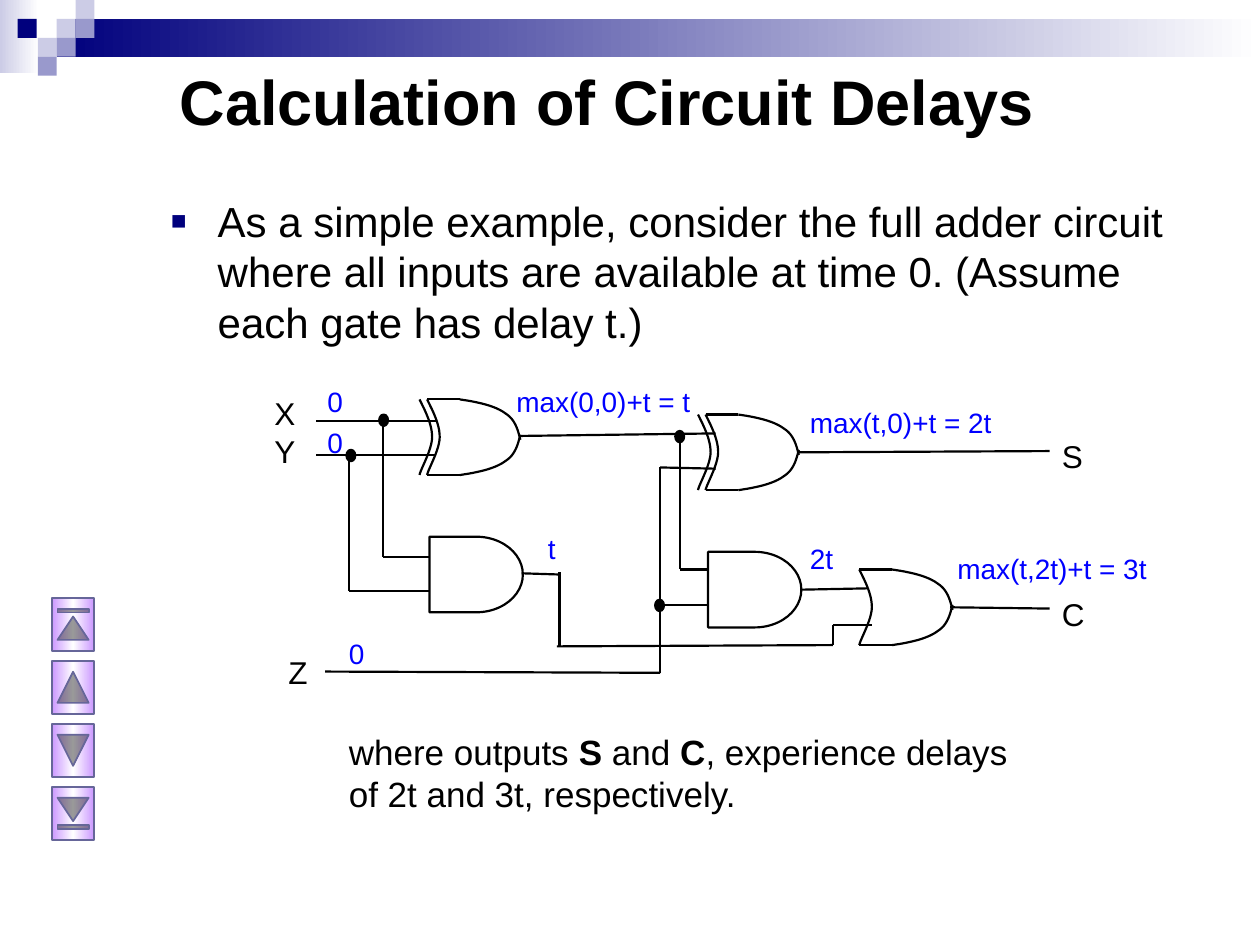
"""Build the slide on calculating delays through a full adder circuit."""
from copy import deepcopy
from dataclasses import dataclass

from lxml import etree
from pptx import Presentation
from pptx.dml.color import RGBColor
from pptx.enum.shapes import MSO_CONNECTOR, MSO_SHAPE
from pptx.enum.text import MSO_ANCHOR
from pptx.oxml.ns import qn
from pptx.util import Inches, Pt

RECTANGLE, ELLIPSE, AND_GATE = MSO_SHAPE.RECTANGLE, MSO_SHAPE.OVAL, MSO_SHAPE.FLOWCHART_DELAY
BUTTONS = (
    MSO_SHAPE.ACTION_BUTTON_BEGINNING,
    MSO_SHAPE.ACTION_BUTTON_BACK_OR_PREVIOUS,
    MSO_SHAPE.ACTION_BUTTON_FORWARD_OR_NEXT,
    MSO_SHAPE.ACTION_BUTTON_END,
)
STRAIGHT = MSO_CONNECTOR.STRAIGHT
TOP, MIDDLE = MSO_ANCHOR.TOP, MSO_ANCHOR.MIDDLE

BLACK = RGBColor(0x00, 0x00, 0x00)
WHITE = RGBColor(0xFF, 0xFF, 0xFF)
BLUE = RGBColor(0x00, 0x00, 0xFF)
NAVY = RGBColor(0x00, 0x00, 0x7D)
LAVENDER = RGBColor(0xCC, 0xCC, 0xE6)
PERIWINKLE = RGBColor(0x99, 0x99, 0xCC)
VIOLET = RGBColor(0xCC, 0x99, 0xFF)
SLATE = RGBColor(0x66, 0x66, 0x99)

FONT = "Arial"
GATE_HEIGHT = 0.6
CURVE_STEPS = 12


@dataclass
class Label:
    text: str
    left: float
    top: float
    width: float
    height: float = 0.38
    size: int = 16
    color: RGBColor = BLUE
    bold: bool = False
    anchor: MSO_ANCHOR = TOP


@dataclass
class Wire:
    x1: float
    y1: float
    x2: float
    y2: float


@dataclass
class CurvedGate:
    left: float
    top: float
    exclusive: bool


@dataclass
class Tile:
    left: float
    top: float
    color: RGBColor


TILES = [
    Tile(0.45, 0.15, LAVENDER), Tile(0.6, 0, LAVENDER), Tile(0.6, 0.15, PERIWINKLE),
    Tile(0.3, 0.3, LAVENDER), Tile(0.14, 0.15, NAVY), Tile(0.45, 0.3, PERIWINKLE),
    Tile(0.3, 0.45, PERIWINKLE),
]
TITLE = Label("Calculation of Circuit Delays", 1.33, 0.17, 8.5, 1.25, 36, BLACK, True, MIDDLE)
BODY = Label(
    "As a simple example, consider the full adder circuit where all inputs are available "
    "at time 0. (Assume each gate has delay t.)", 1.25, 1.5, 8.5, 1.42, 24, BLACK)
CONCLUSION = Label("", 2.67, 5.75, 5.67, 0.92, 20, BLACK)
CONCLUSION_RUNS = [
    ("where outputs ", False), ("S", True), (" and ", False), ("C", True),
    (", experience delays of 2t and 3t, respectively.", False),
]
LABELS = [
    Label("X\nY", 2.08, 3.08, 0.42, 0.6, 18, BLACK),
    Label("Z", 2.19, 5.13, 0.42, size=18, color=BLACK),
    Label("S", 8.33, 3.42, 0.42, size=18, color=BLACK),
    Label("C", 8.33, 4.67, 0.42, size=18, color=BLACK),
    Label("0", 2.5, 3, 0.33), Label("0", 2.5, 3.33, 0.33), Label("0", 2.67, 5, 0.33),
    Label("max(0,0)+t = t", 4, 3, 1.65), Label("t", 4.25, 4.17, 0.26),
    Label("max(t,0)+t = 2t", 6.33, 3.17, 1.75), Label("2t", 6.33, 4.25, 0.42),
    Label("max(t,2t)+t = 3t", 7.5, 4.33, 1.75),
]
WIRES = [
    Wire(2.51, 3.34, 3.46, 3.34), Wire(2.51, 3.61, 3.46, 3.61), Wire(4.13, 3.46, 5.68, 3.44),
    Wire(3.04, 4.42, 3.41, 4.42), Wire(3.04, 3.34, 3.04, 4.42), Wire(2.77, 3.61, 2.77, 4.69),
    Wire(2.77, 4.69, 3.41, 4.69), Wire(4.14, 4.55, 4.45, 4.56), Wire(5.24, 3.71, 5.68, 3.72),
    Wire(6.34, 3.59, 8.33, 3.58), Wire(5.4, 4.52, 5.61, 4.52), Wire(5.4, 3.44, 5.4, 4.52),
    Wire(5.24, 3.71, 5.24, 5.34), Wire(4.42, 5.13, 6.61, 5.12), Wire(6.36, 4.68, 6.88, 4.67),
    Wire(2.58, 5.33, 5.24, 5.34), Wire(5.24, 4.8, 5.63, 4.8), Wire(4.44, 5.13, 4.44, 4.54),
    Wire(6.61, 4.96, 6.92, 4.96), Wire(6.61, 5.12, 6.61, 4.96), Wire(7.54, 4.82, 8.33, 4.83),
]
JUNCTIONS = [(2.75, 3.57), (3.01, 3.29), (5.2, 4.76), (5.36, 3.42)]
AND_GATES = [(3.41, 4.26), (5.62, 4.38)]
CURVED_GATES = [
    CurvedGate(3.39, 3.17, True), CurvedGate(5.6, 3.29, True), CurvedGate(6.82, 4.52, False),
]
BACK_CURVE = [(0, 0), (0.05, 0.1), (0.1, 0.2), (0.1, 0.3), (0.1, 0.4), (0.01, 0.55), (0, 0.6)]
NOSE_CURVE = [
    (0.26, 0), (0.4, 0.02), (0.54, 0.05), (0.62, 0.11), (0.7, 0.16), (0.72, 0.24), (0.74, 0.32),
]


def add_box(slide, kind, left: float, top: float, width: float, height: float):
    """Add an unfilled, unlined preset shape without a shadow."""
    shape = slide.shapes.add_shape(kind, Inches(left), Inches(top), Inches(width), Inches(height))
    shape.shadow.inherit = False
    shape.fill.background()
    shape.line.fill.background()
    return shape


def set_line(shape, color: RGBColor = BLACK, width: float = 1.25) -> None:
    """Give a shape or connector a solid line."""
    shape.line.color.rgb = color
    shape.line.width = Pt(width)


def set_fill(shape, color: RGBColor) -> None:
    """Fill a shape with one colour."""
    shape.fill.solid()
    shape.fill.fore_color.rgb = color


def set_gradient(shape, colors: list[RGBColor], angle: int = 0) -> None:
    """Fill a shape with evenly spaced gradient colours."""
    shape.fill.gradient()
    shape.fill.gradient_angle = angle
    stop_list = shape.fill._fill._gradFill.find(qn("a:gsLst"))
    while len(stop_list) < len(colors):
        stop_list.append(deepcopy(stop_list[0]))
    for index, (stop, color) in enumerate(zip(shape.fill.gradient_stops, colors)):
        stop.color.rgb = color
        stop.position = index / (len(colors) - 1)


def add_label(slide, label: Label):
    """Add a wrapped text box and return its text frame."""
    box = slide.shapes.add_textbox(
        Inches(label.left), Inches(label.top), Inches(label.width), Inches(label.height))
    frame = box.text_frame
    frame.word_wrap = True
    frame.vertical_anchor = label.anchor
    frame.text = label.text
    for paragraph in frame.paragraphs:
        style_paragraph(paragraph, label)
    return frame


def style_paragraph(paragraph, label: Label) -> None:
    """Set the font of a paragraph from its label."""
    paragraph.font.name = FONT
    paragraph.font.size = Pt(label.size)
    paragraph.font.bold = label.bold
    paragraph.font.color.rgb = label.color


def add_body(slide) -> None:
    """Add the bulleted introduction."""
    paragraph = add_label(slide, BODY).paragraphs[0]
    properties = paragraph._p.get_or_add_pPr()
    properties.set("marL", str(Inches(0.38)))
    properties.set("indent", str(-Inches(0.38)))
    bullet_color = etree.Element(qn("a:buClr"))
    etree.SubElement(bullet_color, qn("a:srgbClr"), val=str(NAVY))
    bullet = [
        bullet_color,
        etree.Element(qn("a:buSzPct"), val="120000"),
        etree.Element(qn("a:buFont"), typeface=FONT),
        etree.Element(qn("a:buChar"), char="▪"),
    ]
    for position, element in enumerate(bullet):
        properties.insert(position, element)


def add_conclusion(slide) -> None:
    """Add the closing sentence with its bold output names."""
    paragraph = add_label(slide, CONCLUSION).paragraphs[0]
    for text, bold in CONCLUSION_RUNS:
        run = paragraph.add_run()
        run.text = text
        run.font.bold = bold


def add_wire(slide, wire: Wire) -> None:
    """Draw a straight wire."""
    connector = slide.shapes.add_connector(
        STRAIGHT, Inches(wire.x1), Inches(wire.y1), Inches(wire.x2), Inches(wire.y2))
    set_line(connector)
    etree.SubElement(connector._element.spPr, qn("a:effectLst"))


def bezier_point(controls: list[tuple[float, float]], t: float) -> tuple[float, float]:
    """Return the point at t on a cubic curve."""
    weights = ((1 - t) ** 3, 3 * t * (1 - t) ** 2, 3 * t * t * (1 - t), t ** 3)
    x, y = (sum(w * value for w, value in zip(weights, axis)) for axis in zip(*controls))
    return x, y


def add_curve(slide, controls: list[tuple[float, float]], left: float, top: float) -> None:
    """Draw an open chain of cubic curves."""
    points = [controls[0]]
    for start in range(0, len(controls) - 1, 3):
        segment = controls[start:start + 4]
        points += [bezier_point(segment, i / CURVE_STEPS) for i in range(1, CURVE_STEPS + 1)]
    places = [(Inches(left + x), Inches(top + y)) for x, y in points]
    builder = slide.shapes.build_freeform(*places[0])
    builder.add_line_segments(places[1:], close=False)
    curve = builder.convert_to_shape()
    curve.shadow.inherit = False
    curve.fill.background()
    set_line(curve)


def add_curved_gate(slide, gate: CurvedGate) -> None:
    """Draw an OR gate, or an XOR gate with its second back curve."""
    add_curve(slide, BACK_CURVE, gate.left, gate.top)
    if gate.exclusive:
        add_curve(slide, BACK_CURVE, gate.left - 0.06, gate.top)
    for y in (gate.top, gate.top + GATE_HEIGHT):
        add_wire(slide, Wire(gate.left, y, gate.left + 0.26, y))
    add_curve(slide, NOSE_CURVE, gate.left, gate.top)
    add_curve(slide, [(x, GATE_HEIGHT - y) for x, y in NOSE_CURVE], gate.left, gate.top)


def add_banner(slide) -> None:
    """Draw the gradient bands and tiles along the top."""
    set_gradient(add_box(slide, RECTANGLE, 0, 0, 0.31, 0.58), [LAVENDER, WHITE])
    set_gradient(add_box(slide, RECTANGLE, 0.45, 0.15, 9.55, 0.3), [NAVY, WHITE])
    for tile in TILES:
        set_fill(add_box(slide, RECTANGLE, tile.left, tile.top, 0.15, 0.15), tile.color)


def add_circuit(slide) -> None:
    """Draw the full adder with its labels."""
    for left, top in AND_GATES:
        set_line(add_box(slide, AND_GATE, left, top, 0.74, GATE_HEIGHT))
    for wire in WIRES:
        add_wire(slide, wire)
    for left, top in JUNCTIONS:
        junction = add_box(slide, ELLIPSE, left, top, 0.07, 0.09)
        set_fill(junction, BLACK)
        set_line(junction)
    for gate in CURVED_GATES:
        add_curved_gate(slide, gate)
    for label in LABELS:
        add_label(slide, label)


def add_buttons(slide) -> None:
    """Draw the column of navigation buttons."""
    for index, kind in enumerate(BUTTONS):
        button = add_box(slide, kind, 0.37, 4.79 + 0.5 * index, 0.42, 0.33)
        button.rotation = 90
        set_gradient(button, [VIOLET, WHITE, VIOLET], 90)
        set_line(button, SLATE, 1)


def main() -> None:
    """Build and save the presentation."""
    presentation = Presentation()
    presentation.slide_width, presentation.slide_height = Inches(10), Inches(7.5)
    slide = presentation.slides.add_slide(presentation.slide_layouts[6])
    add_banner(slide)
    add_label(slide, TITLE)
    add_body(slide)
    add_conclusion(slide)
    add_circuit(slide)
    add_buttons(slide)
    presentation.save("out.pptx")


if __name__ == "__main__":
    main()
